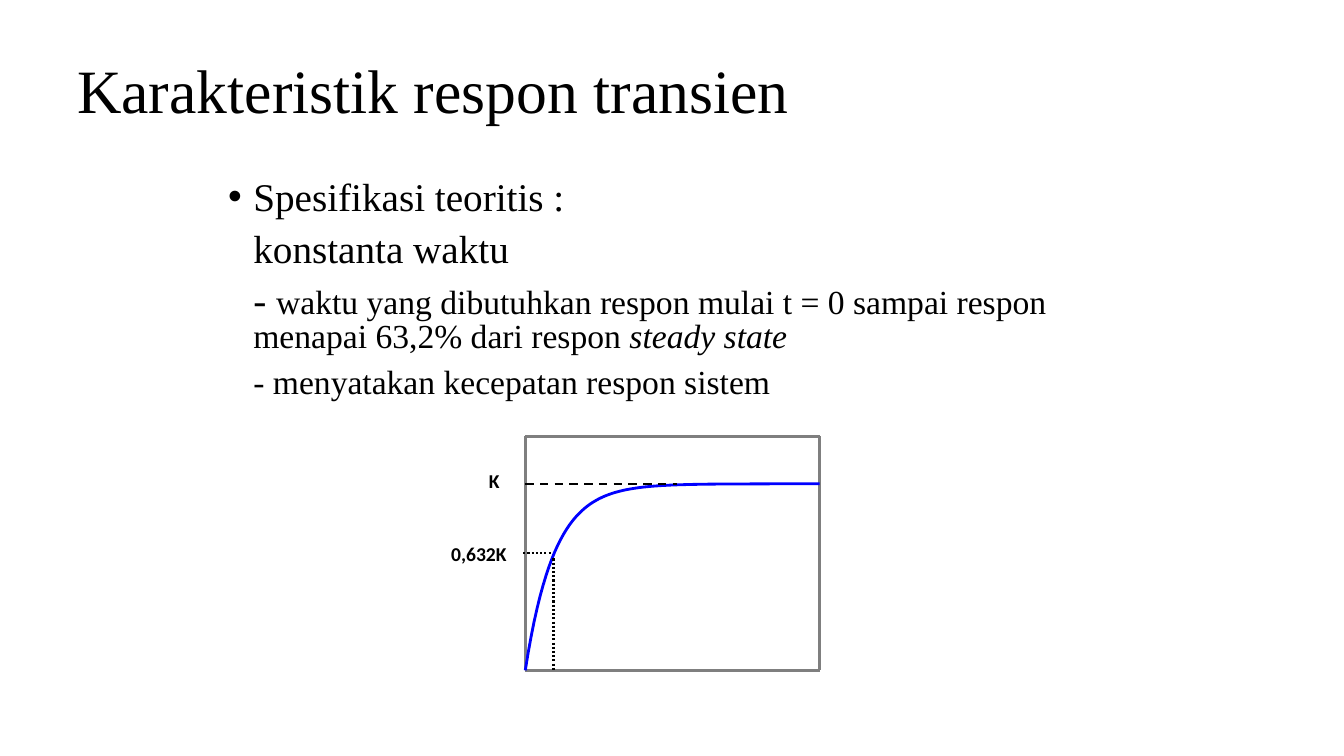
from dataclasses import dataclass
from math import exp

from lxml.etree import SubElement
from pptx import Presentation
from pptx.dml.color import RGBColor
from pptx.enum.dml import MSO_LINE
from pptx.enum.shapes import MSO_CONNECTOR
from pptx.enum.text import MSO_ANCHOR, MSO_AUTO_SIZE, PP_ALIGN
from pptx.oxml.ns import qn
from pptx.util import Inches, Pt


@dataclass(frozen=True)
class Theme:
    ink: RGBColor = RGBColor(0x00, 0x00, 0x00)
    frame: RGBColor = RGBColor(0x7F, 0x7F, 0x7F)
    curve: RGBColor = RGBColor(0x00, 0x00, 0xFF)
    text_font: str = "Times New Roman"
    label_font: str = "Calibri"
    title_size: int = 44
    body_size: int = 28
    detail_size: int = 24
    label_size: int = 14


THEME = Theme()
SLIDE_WIDTH, SLIDE_HEIGHT = 13.33, 7.5
TITLE_WIDTH, BODY_WIDTH = 12, 9
PLOT_LEFT, PLOT_RIGHT = 5.21, 8.13
PLOT_TOP, PLOT_BOTTOM = 4.33, 6.65
STEADY_LEVEL = 4.8
TIME_CONSTANT = 0.29
CURVE_STEPS = 100

BODY = [
    [("Spesifikasi teoritis :", THEME.body_size, False)],
    [("konstanta waktu", THEME.body_size, False)],
    [
        ("- ", THEME.body_size, False),
        ("waktu yang dibutuhkan respon mulai t = 0 sampai respon "
         "menapai 63,2% dari respon ", THEME.detail_size, False),
        ("steady state", THEME.detail_size, True),
    ],
    [("- menyatakan kecepatan respon sistem", THEME.detail_size, False)],
]


def centred_left(width):
    return (SLIDE_WIDTH - width) / 2


def format_run(run, font_name, size, bold=False, italic=False):
    run.font.name = font_name
    run.font.size = Pt(size)
    run.font.bold = bold
    run.font.italic = italic
    run.font.color.rgb = THEME.ink


def set_title(slide, text):
    title = slide.shapes.title
    title.left, title.top = Inches(centred_left(TITLE_WIDTH)), Inches(0.3)
    title.width, title.height = Inches(TITLE_WIDTH), Inches(1.25)
    frame = title.text_frame
    frame.text = text
    frame.auto_size = MSO_AUTO_SIZE.NONE
    frame.vertical_anchor = MSO_ANCHOR.MIDDLE
    paragraph = frame.paragraphs[0]
    paragraph.alignment = PP_ALIGN.LEFT
    paragraph.line_spacing = 0.9
    format_run(paragraph.runs[0], THEME.text_font, THEME.title_size)


def add_text_box(slide, left, top, width, height):
    box = slide.shapes.add_textbox(
        Inches(left), Inches(top), Inches(width), Inches(height))
    box.text_frame.word_wrap = True
    return box.text_frame


def set_indent(paragraph, bulleted):
    properties = paragraph._p.get_or_add_pPr()
    properties.set("marL", str(Inches(0.25)))
    properties.set("indent", str(Inches(-0.25) if bulleted else 0))
    if bulleted:
        SubElement(properties, qn("a:buFont"), typeface="Arial")
        SubElement(properties, qn("a:buChar"), char="•")
    else:
        SubElement(properties, qn("a:buNone"))


def add_body(slide):
    frame = add_text_box(slide, centred_left(BODY_WIDTH), 1.75, BODY_WIDTH, 2.39)
    for index, pieces in enumerate(BODY):
        paragraph = frame.add_paragraph() if index else frame.paragraphs[0]
        set_indent(paragraph, bulleted=index == 0)
        paragraph.line_spacing = 0.8
        paragraph.space_before = Pt(10 if index else 0)
        for text, size, italic in pieces:
            run = paragraph.add_run()
            run.text = text
            format_run(run, THEME.text_font, size, italic=italic)


def add_label(slide, text, left, top, width, alignment):
    frame = add_text_box(slide, left, top, width, 0.33)
    frame.word_wrap = False
    frame.text = text
    paragraph = frame.paragraphs[0]
    paragraph.alignment = alignment
    format_run(paragraph.runs[0], THEME.label_font, THEME.label_size, bold=True)


def add_line(slide, start, end, color, width, dash=None):
    line = slide.shapes.add_connector(
        MSO_CONNECTOR.STRAIGHT, *map(Inches, start + end))
    line.line.color.rgb = color
    line.line.width = Pt(width)
    line.line.dash_style = dash
    SubElement(line._element.spPr, qn("a:effectLst"))


def add_plot_frame(slide):
    for x in (PLOT_RIGHT, PLOT_LEFT):
        add_line(slide, (x, PLOT_BOTTOM), (x, PLOT_TOP), THEME.frame, 0)
    for y in (PLOT_TOP, PLOT_BOTTOM):
        add_line(slide, (PLOT_LEFT, y), (PLOT_RIGHT, y), THEME.frame, 0)


def add_response_curve(slide):
    points = []
    for step in range(CURVE_STEPS + 1):
        elapsed = (PLOT_RIGHT - PLOT_LEFT) * step / CURVE_STEPS
        rise = (PLOT_BOTTOM - STEADY_LEVEL) * (1 - exp(-elapsed / TIME_CONSTANT))
        points.append((Inches(PLOT_LEFT + elapsed), Inches(PLOT_BOTTOM - rise)))
    builder = slide.shapes.build_freeform(*points[0])
    builder.add_line_segments(points[1:], close=False)
    curve = builder.convert_to_shape()
    curve.shadow.inherit = False
    curve.fill.background()
    curve.line.color.rgb = THEME.curve
    curve.line.width = Pt(2)


def add_guides(slide):
    guides = [
        ((PLOT_LEFT, STEADY_LEVEL), (6.71, STEADY_LEVEL), MSO_LINE.DASH),
        ((5.19, 5.49), (5.47, 5.49), MSO_LINE.ROUND_DOT),
        ((5.49, 5.54), (5.49, PLOT_BOTTOM), MSO_LINE.ROUND_DOT),
    ]
    for start, end, dash in guides:
        add_line(slide, start, end, THEME.ink, 1.5, dash)


def main():
    presentation = Presentation()
    presentation.slide_width = Inches(SLIDE_WIDTH)
    presentation.slide_height = Inches(SLIDE_HEIGHT)
    slide = presentation.slides.add_slide(presentation.slide_layouts[5])

    set_title(slide, "Karakteristik respon transien")
    add_body(slide)
    add_plot_frame(slide)
    add_response_curve(slide)
    add_guides(slide)
    add_label(slide, "K", 4.75, 4.6, 0.28, PP_ALIGN.LEFT)
    add_label(slide, "0,632K", 4.29, 5.33, 0.92, PP_ALIGN.CENTER)

    presentation.save("out.pptx")


if __name__ == "__main__":
    main()
